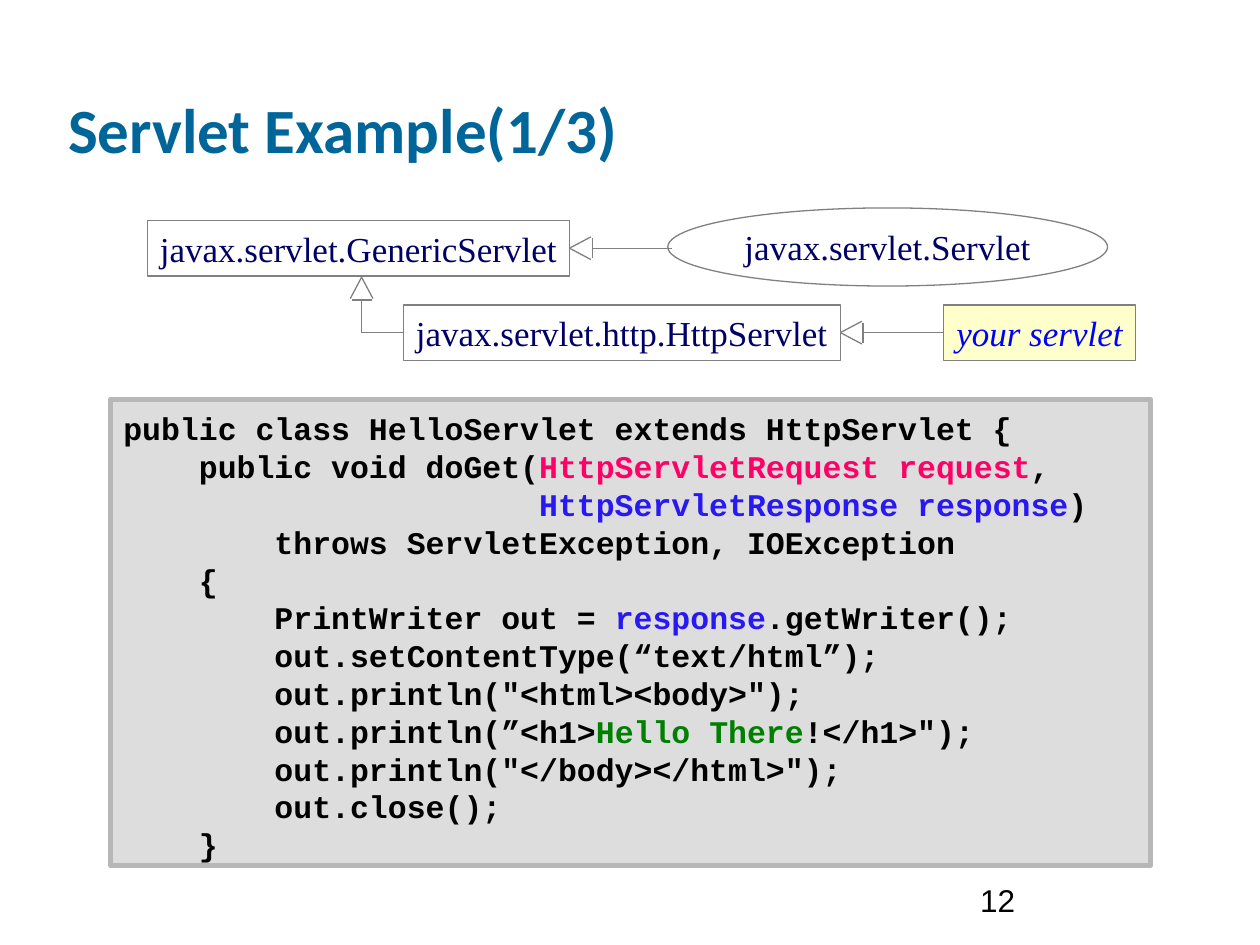
"""Build the servlet example slide with its class diagram and code panel."""
from lxml import etree
from pptx import Presentation
from pptx import util as u
from pptx.dml.color import RGBColor
from pptx.enum import shapes, text
from pptx.oxml import ns

TITLE_BLUE = RGBColor(0x00, 0x66, 0x99)
NAVY = RGBColor(0x00, 0x00, 0x66)
BLUE = RGBColor(0x00, 0x00, 0xFF)
GREY = RGBColor(0x80, 0x80, 0x80)
CREAM = RGBColor(0xFF, 0xFF, 0xCC)
PANEL_FILL = RGBColor(0xDD, 0xDD, 0xDD)
PANEL_EDGE = RGBColor(0xB7, 0xB7, 0xB7)
BLACK = RGBColor(0x00, 0x00, 0x00)
PINK = RGBColor(0xFF, 0x00, 0x66)
VIOLET = RGBColor(0x28, 0x18, 0xF2)
GREEN = RGBColor(0x00, 0x80, 0x00)

CODE = [
    [("public class HelloServlet extends HttpServlet {\n    public void doGet(", BLACK),
     ("HttpServletRequest request", PINK),
     (",\n                      ", BLACK),
     ("HttpServletResponse response", VIOLET),
     (")\n        throws ServletException, IOException\n    {\n"
      "        PrintWriter out = ", BLACK),
     ("response", VIOLET),
     (".getWriter();", BLACK)],
    [("        out.setContentType(“text/html”);\n"
      "        out.println(\"<html><body>\");", BLACK)],
    [("        out.println(”<h1>", BLACK),
     ("Hello There", GREEN),
     ("!</h1>\");", BLACK)],
    [("        out.println(\"</body></html>\");", BLACK)],
    [("        out.close();\n    }", BLACK)],
]


def style_font(paragraph, name, size, color, bold=False, italic=False):
    """Set the font that all runs of a paragraph share."""
    font = paragraph.font
    font.name, font.size = name, u.Pt(size)
    font.bold, font.italic = bold, italic
    font.color.rgb = color


def add_shape(page, kind, place, fill, edge, width):
    """Add a preset shape with a plain fill and outline."""
    shape = page.shapes.add_shape(kind, *map(u.Inches, place))
    shape.shadow.inherit = False
    if fill is None:
        shape.fill.background()
    else:
        shape.fill.solid()
        shape.fill.fore_color.rgb = fill
    shape.line.color.rgb = edge
    shape.line.width = u.Pt(width)
    return shape


def add_type(page, label, place, kind=shapes.MSO_SHAPE.RECTANGLE,
             fill=None, color=NAVY, italic=False):
    """Add a labelled type of the class diagram."""
    shape = add_shape(page, kind, place, fill, GREY, 0.75)
    frame = shape.text_frame
    frame.word_wrap = False
    frame.vertical_anchor = text.MSO_ANCHOR.MIDDLE
    paragraph = frame.paragraphs[0]
    paragraph.text = label
    paragraph.alignment = text.PP_ALIGN.CENTER
    style_font(paragraph, "Times New Roman", 20, color, italic=italic)
    return shape


def add_line(page, start, end, source=None, target=None):
    """Draw a thin grey line, joined to (shape, site) pairs where given."""
    line = page.shapes.add_connector(
        shapes.MSO_CONNECTOR.STRAIGHT, *map(u.Inches, (*start, *end)))
    line.line.color.rgb = GREY
    line.line.width = u.Pt(0.75)
    etree.SubElement(line._element.spPr, ns.qn("a:effectLst"))
    if source:
        line.begin_connect(*source)
    if target:
        line.end_connect(*target)


def add_inheritance(page, tip, direction, length, parent=None, child=None):
    """Draw an open triangle at the tip and a stem running along direction."""
    along_x, along_y = direction

    def point(along, across=0):
        return (tip[0] + along * along_x - across * along_y,
                tip[1] + along * along_y + across * along_x)

    for side in (-0.09, 0.09):
        add_line(page, tip, point(0.17, side), source=parent)
    add_line(page, point(0.18, -0.08), point(0.18, 0.08))
    add_line(page, point(0.18), point(length), target=child)


def add_code(page, place):
    """Add the panel with the coloured source code."""
    panel = add_shape(page, shapes.MSO_SHAPE.RECTANGLE, place, PANEL_FILL, PANEL_EDGE, 3)
    frame = panel.text_frame
    frame.word_wrap = True
    frame.vertical_anchor = text.MSO_ANCHOR.TOP
    frame.margin_top = u.Inches(0.08)
    for index, spans in enumerate(CODE):
        paragraph = frame.add_paragraph() if index else frame.paragraphs[0]
        paragraph.alignment = text.PP_ALIGN.LEFT
        paragraph.line_spacing = u.Pt(21.6)
        style_font(paragraph, "Courier New", 18, BLACK, bold=True)
        for content, color in spans:
            for row, piece in enumerate(content.split("\n")):
                if row:
                    paragraph.add_line_break()
                if piece:
                    span = paragraph.add_run()
                    span.text = piece
                    span.font.color.rgb = color


def set_title(page, title, place):
    """Move and format the title placeholder."""
    box = page.shapes.title
    box.left, box.top, box.width, box.height = map(u.Inches, place)
    frame = box.text_frame
    frame.text = title
    frame.auto_size = text.MSO_AUTO_SIZE.NONE
    frame.vertical_anchor = text.MSO_ANCHOR.BOTTOM
    paragraph = frame.paragraphs[0]
    paragraph.alignment = text.PP_ALIGN.LEFT
    style_font(paragraph, "Calibri", 36, TITLE_BLUE, bold=True)


def add_page_number(page, number, place):
    """Add the page number at the foot of the page."""
    frame = page.shapes.add_textbox(*map(u.Inches, place)).text_frame
    frame.word_wrap = True
    frame.vertical_anchor = text.MSO_ANCHOR.BOTTOM
    frame.text = number
    style_font(frame.paragraphs[0], "Arial", 18, BLACK)


def main():
    """Build and save the slide."""
    deck = Presentation()
    deck.slide_width, deck.slide_height = u.Inches(10), u.Inches(7.5)
    page = deck.slides.add_slide(deck.slide_layouts[5])
    set_title(page, "Servlet Example(1/3)", (0.44, 0.12, 8.5, 1.25))

    add_type(page, "javax.servlet.Servlet", (5.3, 1.65, 3.49, 0.62),
             kind=shapes.MSO_SHAPE.OVAL)
    generic = add_type(page, "javax.servlet.GenericServlet", (1.17, 1.75, 3.35, 0.44))
    http = add_type(page, "javax.servlet.http.HttpServlet", (3.2, 2.42, 3.47, 0.44))
    yours = add_type(page, "your servlet", (7.49, 2.42, 1.52, 0.44),
                     fill=CREAM, color=BLUE, italic=True)

    add_inheritance(page, (4.52, 1.97), (1, 0), 0.81, parent=(generic, 3))
    add_inheritance(page, (6.67, 2.64), (1, 0), 0.82, parent=(http, 3), child=(yours, 1))
    add_inheritance(page, (2.87, 2.2), (0, 1), 0.44)
    add_line(page, (2.87, 2.64), (3.2, 2.64), target=(http, 1))

    add_code(page, (0.88, 3.17, 8.25, 3.7))
    add_page_number(page, "12", (7.68, 6.84, 2.08, 0.5))
    deck.save("out.pptx")


if __name__ == "__main__":
    main()
